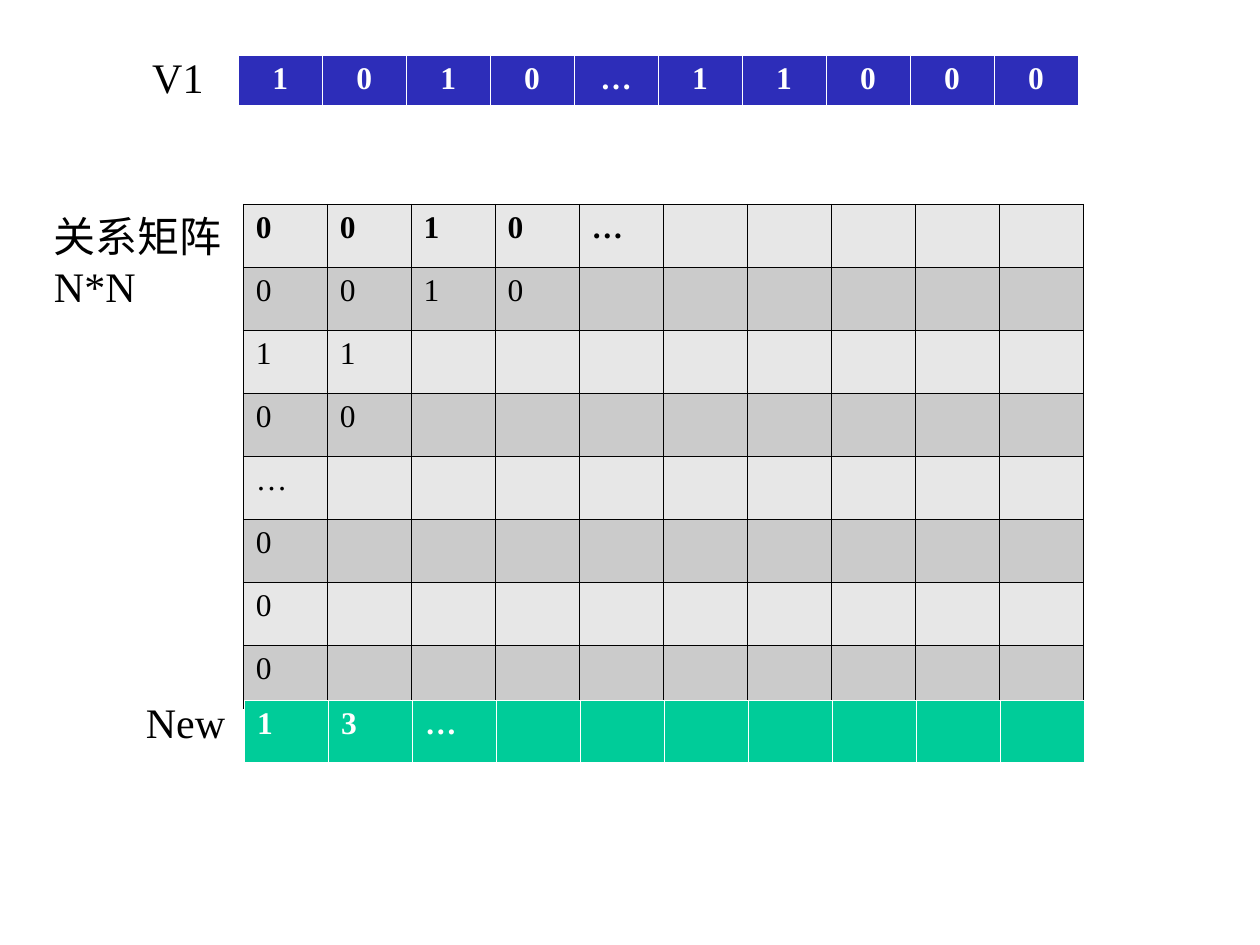
from dataclasses import dataclass

from pptx import Presentation
from pptx.dml.color import RGBColor
from pptx.enum.text import MSO_AUTO_SIZE, PP_ALIGN
from pptx.oxml.ns import qn
from pptx.util import Inches, Pt
from lxml import etree

LEFT, CENTER = PP_ALIGN.LEFT, PP_ALIGN.CENTER
FIT_SHAPE = MSO_AUTO_SIZE.SHAPE_TO_FIT_TEXT

SLIDE_W, SLIDE_H = 10, 7.5
COLUMNS = 10
COL_W = SLIDE_W / 15
FONT = "Times New Roman"
BLACK, WHITE = "000000", "FFFFFF"
BLUE, GREEN = "2D2DB9", "00CC99"
LIGHT_GRAY, GRAY = "E7E7E7", "CBCBCB"
THIN, THICK = 0.45, 1.47


@dataclass
class Grid:
    left: float
    top: float
    row_h: float
    rows: list[list[str]]
    fills: list[str]  # repeated row after row
    color: str
    bottom_line: float = THIN
    align: PP_ALIGN = LEFT


@dataclass
class Label:
    left: float
    top: float
    width: float
    height: float
    lines: list[str]


GRIDS = [
    Grid(1.89, 0.44, 0.4, [list("1010…11000")], [BLUE], WHITE, THICK, CENTER),
    Grid(1.93, 1.62, 0.5,
         [list(row) for row in ("0010…", "0010", "11", "00", "…", "0", "0", "0")],
         [LIGHT_GRAY, GRAY], BLACK),
    Grid(1.94, 5.56, 0.5, [list("13…")], [GREEN], WHITE, THICK),
]
LABELS = [
    Label(1.11, 0.36, 0.61, 0.5, ["V1"]),
    Label(0.33, 1.62, 1.53, 0.9, ["关系矩阵", "N*N"]),
    Label(1.06, 5.48, 0.83, 0.5, ["New"]),
]


def rgb(color: str) -> RGBColor:
    return RGBColor.from_string(color)


def write(p, text: str, *, size: float, color: str = BLACK,
          bold: bool = False, align: PP_ALIGN = LEFT) -> None:
    p.alignment = align
    r = p.add_run()
    r.text = text
    r.font.name = FONT
    r.font.size = Pt(size)
    r.font.bold = bold
    r.font.color.rgb = rgb(color)


def add_borders(cell, color: str, bottom_line: float) -> None:
    """Borders must precede the fill in the cell's properties."""
    tc_pr = cell._tc.get_or_add_tcPr()
    for side in ("L", "R", "T", "B"):
        width = bottom_line if side == "B" else THIN
        ln = etree.SubElement(tc_pr, qn(f"a:ln{side}"), w=str(int(Pt(width))))
        fill = etree.SubElement(ln, qn("a:solidFill"))
        etree.SubElement(fill, qn("a:srgbClr"), val=color)


def draw_grid(s, grid: Grid) -> None:
    n_rows = len(grid.rows)
    table = s.shapes.add_table(
        n_rows, COLUMNS, Inches(grid.left), Inches(grid.top),
        Inches(COLUMNS * COL_W), Inches(n_rows * grid.row_h)).table
    table.first_row = table.horz_banding = False
    for column in table.columns:
        column.width = Inches(COL_W)
    for i, values in enumerate(grid.rows):
        table.rows[i].height = Inches(grid.row_h)
        for j, cell in enumerate(table.rows[i].cells):
            add_borders(cell, grid.color, grid.bottom_line)
            cell.fill.solid()
            cell.fill.fore_color.rgb = rgb(grid.fills[i % len(grid.fills)])
            if j < len(values):
                write(cell.text_frame.paragraphs[0], values[j], size=18,
                      color=grid.color, bold=i == 0, align=grid.align)


def draw_label(s, label: Label) -> None:
    sp = s.shapes.add_textbox(Inches(label.left), Inches(label.top),
                              Inches(label.width), Inches(label.height))
    tf = sp.text_frame
    tf.word_wrap = False
    tf.auto_size = FIT_SHAPE
    for i, line in enumerate(label.lines):
        p = tf.add_paragraph() if i else tf.paragraphs[0]
        write(p, line, size=24)


def main() -> None:
    prs = Presentation()
    prs.slide_width, prs.slide_height = Inches(SLIDE_W), Inches(SLIDE_H)
    s = prs.slides.add_slide(prs.slide_layouts[6])
    for grid in GRIDS:
        draw_grid(s, grid)
    for label in LABELS:
        draw_label(s, label)
    prs.save("out.pptx")


if __name__ == "__main__":
    main()
